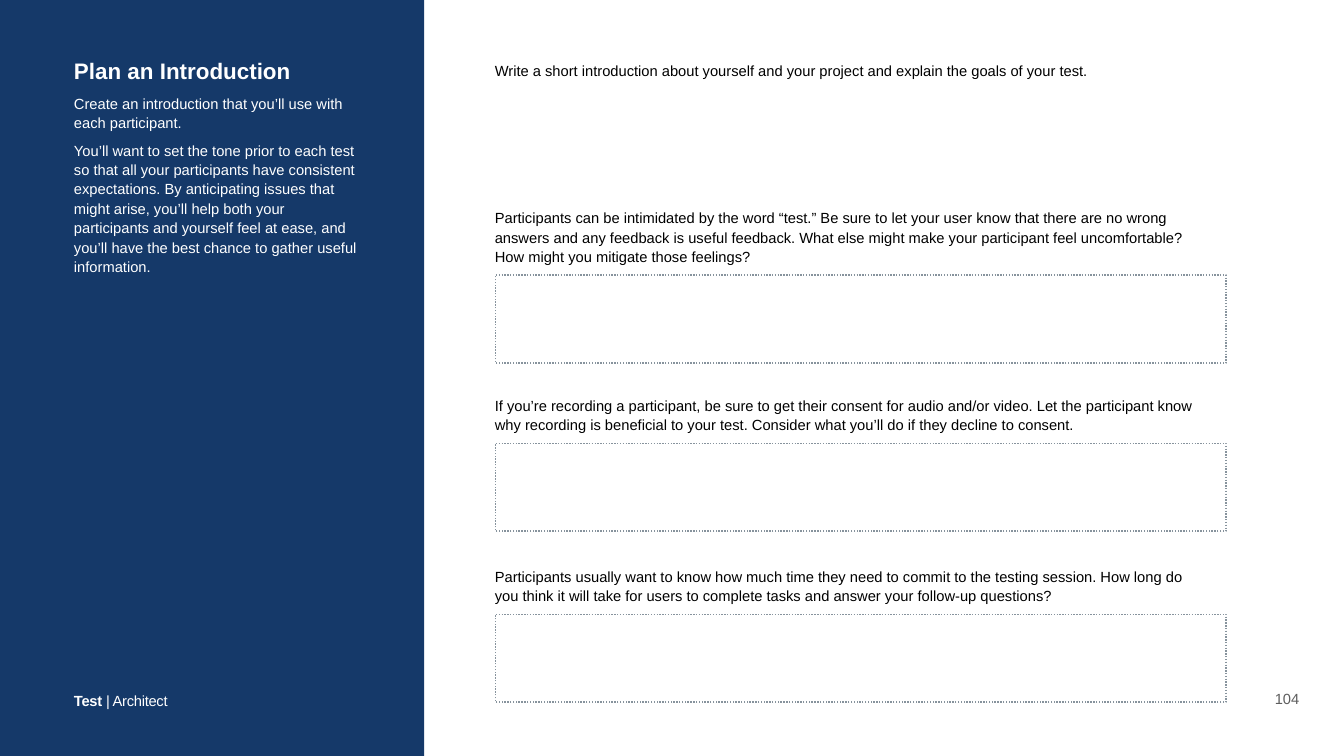
from pptx import Presentation
from pptx.dml.color import RGBColor
from pptx.enum import dml, shapes, text
from pptx.util import Cm, Pt

FONT = "Arial"
NAVY, WHITE, BLACK, GREY, RULE = "153969", "FFFFFF", "000000", "5E5E5E", "87939D"
PROMPT_LEFT, PROMPT_WIDTH = 24.79, 35.71
BOX_LEFT, BOX_WIDTH, BOX_HEIGHT = 24.97, 36.83, 4.42
PROMPT_GAP = 0.33

OPENING = ("Write a short introduction about yourself and your project "
           "and explain the goals of your test.")

# (answer box top, prompt height, prompt), in cm
QUESTIONS = [
    (13.87, 3.07,
     "Participants can be intimidated by the word “test.” Be sure to let your user know "
     "that there are no wrong answers and any feedback is useful feedback. What else might "
     "make your participant feel uncomfortable? How might you mitigate those feelings?"),
    (22.35, 2.11,
     "If you’re recording a participant, be sure to get their consent for audio and/or "
     "video. Let the participant know why recording is beneficial to your test. Consider "
     "what you’ll do if they decline to consent."),
    (30.96, 2.11,
     "Participants usually want to know how much time they need to commit to the testing "
     "session. How long do you think it will take for users to complete tasks and answer "
     "your follow-up questions?"),
]

GUIDANCE = [
    "Create an introduction that you’ll use with each participant.",
    "You’ll want to set the tone prior to each test so that all your participants have "
    "consistent expectations. By anticipating issues that might arise, you’ll help both "
    "your participants and yourself feel at ease, and you’ll have the best chance to "
    "gather useful information.",
]


def rgb(value):
    return RGBColor.from_string(value)


def add_rect(slide, left, top, width, height, fill, line=None):
    sp = slide.shapes.add_shape(shapes.MSO_SHAPE.RECTANGLE,
                                Cm(left), Cm(top), Cm(width), Cm(height))
    sp.shadow.inherit = False
    sp.fill.solid()
    sp.fill.fore_color.rgb = rgb(fill)
    if line:
        sp.line.color.rgb = rgb(line)
        sp.line.width = Pt(2)
        sp.line.dash_style = dml.MSO_LINE.ROUND_DOT
    else:
        sp.line.fill.background()


def add_frame(slide, left, top, width, height, anchor="TOP", inset=0.2, wrap=True):
    """Add an empty text box and return its text frame."""
    tf = slide.shapes.add_textbox(Cm(left), Cm(top), Cm(width), Cm(height)).text_frame
    tf.word_wrap = wrap
    tf.auto_size = text.MSO_AUTO_SIZE.SHAPE_TO_FIT_TEXT
    tf.vertical_anchor = text.MSO_ANCHOR[anchor]
    tf.margin_left = tf.margin_top = tf.margin_right = tf.margin_bottom = Cm(inset)
    return tf


def style(p, color, size=21, spacing=1.0):
    p.font.name = FONT
    p.font.size = Pt(size)
    p.font.color.rgb = rgb(color)
    p.line_spacing = spacing


def add_prompt(slide, top, height, wording, anchor):
    tf = add_frame(slide, PROMPT_LEFT, top, PROMPT_WIDTH, height, anchor, inset=0.15)
    p = tf.paragraphs[0]
    p.text = wording
    style(p, BLACK, spacing=1.1)


def add_question(slide, box_top, height, wording):
    """Add a prompt that sits just above its dotted answer box."""
    add_prompt(slide, box_top - PROMPT_GAP - height, height, wording, "BOTTOM")
    add_rect(slide, BOX_LEFT, box_top, BOX_WIDTH, BOX_HEIGHT, WHITE, RULE)


def add_sidebar(slide):
    add_rect(slide, -0.03, -0.03, 21.41, 38.15, NAVY)
    tf = add_frame(slide, 3.53, 2.69, 14.99, 11.25)
    title = tf.paragraphs[0]
    title.text = "Plan an Introduction"
    style(title, WHITE, size=32)
    title.font.bold = True
    for wording in GUIDANCE:
        p = tf.add_paragraph()
        p.text = wording
        p.space_before = Pt(12)
        style(p, WHITE, spacing=1.1)


def add_footer(slide):
    p = add_frame(slide, 3.53, 34.49, 5.18, 1.3, wrap=False).paragraphs[0]
    style(p, WHITE, spacing=1.2)
    for wording, bold in (("Test", True), (" | Architect", False)):
        r = p.add_run()
        r.text = wording
        r.font.bold = bold
        r._r.get_or_add_rPr().set("spc", "-40")


def add_page_number(slide, number):
    p = add_frame(slide, 64.03, 34.57, 1.68, 1.27, "BOTTOM", wrap=False).paragraphs[0]
    p.text = number
    p.alignment = text.PP_ALIGN.CENTER
    style(p, GREY)


def main():
    prs = Presentation()
    prs.slide_width, prs.slide_height = Cm(67.74), Cm(38.1)
    slide = prs.slides.add_slide(prs.slide_layouts[6])
    add_sidebar(slide)
    add_prompt(slide, 2.95, 1.14, OPENING, "MIDDLE")
    for question in QUESTIONS:
        add_question(slide, *question)
    add_footer(slide)
    add_page_number(slide, "104")
    prs.save("out.pptx")


if __name__ == "__main__":
    main()
